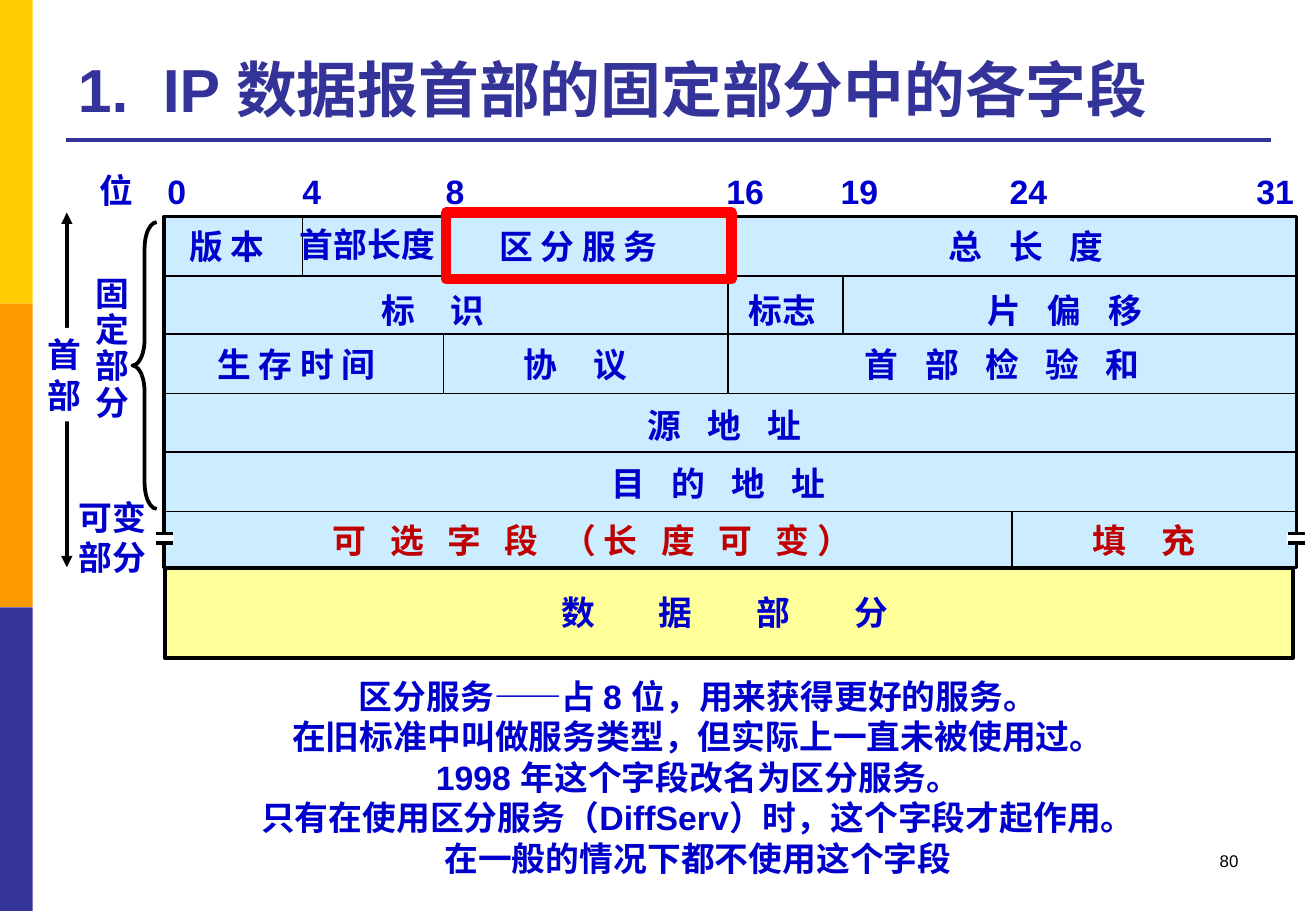
from lxml.etree import SubElement
from pptx import Presentation
from pptx.dml.color import RGBColor
from pptx.enum.shapes import MSO_CONNECTOR, MSO_SHAPE
from pptx.enum.text import MSO_ANCHOR, PP_ALIGN
from pptx.oxml.ns import qn
from pptx.util import Pt

PX = 9144
BLUE, RED, NAVY, BLACK, WHITE = "0000CC", "C00000", "333399", "000000", "FFFFFF"
rgb = RGBColor.from_string

deck = Presentation()
deck.slide_width, deck.slide_height = 1083 * PX, 750 * PX
slide = deck.slides.add_slide(deck.slide_layouts[5])
shapes = slide.shapes


def box(kind, place, fill=None, line=None, width=0):
    shape = shapes.add_shape(kind, *[v * PX for v in place])
    shape.shadow.inherit = False
    if fill:
        shape.fill.solid()
        shape.fill.fore_color.rgb = rgb(fill)
    else:
        shape.fill.background()
    if line:
        shape.line.color.rgb = rgb(line)
        shape.line.width = Pt(width)
    else:
        shape.line.fill.background()
    return shape


def write(frame, text, color=BLUE, size=20, bold=True, align=PP_ALIGN.LEFT, wrap=False, gap=0):
    frame.word_wrap = wrap
    frame.text = text
    for para in frame.paragraphs:
        para.alignment = align
        para.font.size = Pt(size)
        para.font.name = "Arial"
        para.font.bold = bold
        para.font.color.rgb = rgb(color)
        if gap:
            para._p.pPr.find(qn("a:defRPr")).set("spc", str(gap))


title = shapes.title
title.left, title.top, title.width, title.height = [v * PX for v in (54, 21, 991, 87)]
write(title.text_frame, "1.\tIP 数据报首部的固定部分中的各字段", NAVY, 36, wrap=True)
title.text_frame.vertical_anchor = MSO_ANCHOR.BOTTOM
props = title.text_frame.paragraphs[0]._p.pPr
props.set("marL", str(70 * PX))
props.set("indent", str(-70 * PX))

for i, color in enumerate(["FFCC00", "FF9900", NAVY]):
    box(MSO_SHAPE.RECTANGLE, (0, 250 * i, 27, 250), color)

box(MSO_SHAPE.RECTANGLE, (135, 178, 932, 289), "CCECFF", BLACK, 2)
box(MSO_SHAPE.RECTANGLE, (136, 468, 928, 74), "FFFF99", BLACK, 2.25)

rows = [round(178 + 48.6 * i) for i in range(6)] + [467]
lines = [(54, 115, 1046, 115, NAVY, 2.25), (55, 175, 55, 467, BLACK, 2.25)]
lines += [(134, y, 1068, y, BLACK, 1) for y in rows[1:6]]
for x, top, end in [(249, 0, 1), (365, 0, 1), (365, 2, 3), (599, 0, 3), (694, 1, 2), (833, 5, 6)]:
    lines.append((x, rows[top], x, rows[end], BLACK, 1))
for x in (128, 1060):
    box(MSO_SHAPE.RECTANGLE, (x - 1, 439, 16, 8), WHITE)
    lines += [(x, y, x + 14, y, BLACK, 2) for y in (439, 447)]

for *ends, color, width in lines:
    line = shapes.add_connector(MSO_CONNECTOR.STRAIGHT, *[v * PX for v in ends])
    line.line.color.rgb = rgb(color)
    line.line.width = Pt(width)
    SubElement(line._element.spPr, qn("a:effectLst"))
    if ends[0] == 55:
        for end in ("a:headEnd", "a:tailEnd"):
            SubElement(line.line._get_or_add_ln(), qn(end), type="triangle")

head = box(MSO_SHAPE.RECTANGLE, (29, 270, 48, 77), WHITE)
write(head.text_frame, "首\n部")

brace = box(MSO_SHAPE.LEFT_BRACE, (109, 183, 20, 236), None, BLACK, 2.25)
brace.adjustments[0] = 1.08

labels = [
    ("位", 72, 135, 48, BLUE, 0),
    ("0", 128, 136, 36, BLUE, 0),
    ("4", 239, 136, 36, BLUE, 0),
    ("8", 357, 136, 36, BLUE, 0),
    ("16", 588, 136, 51, BLUE, 0),
    ("19", 682, 136, 51, BLUE, 0),
    ("24", 821, 136, 51, BLUE, 0),
    ("31", 1024, 136, 51, BLUE, 0),
    ("版 本", 146, 181, 84, BLUE, 0),
    ("首部长度", 237, 179, 132, BLUE, 0),
    ("区 分 服 务", 401, 181, 156, BLUE, 0),
    ("总 长 度", 771, 181, 151, BLUE, 556),
    ("标 识", 304, 234, 107, BLUE, 834),
    ("标志", 606, 234, 76, BLUE, 0),
    ("片 偏 移", 803, 234, 151, BLUE, 556),
    ("生 存 时 间", 169, 278, 156, BLUE, 0),
    ("协 议", 421, 278, 107, BLUE, 834),
    ("首 部 检 验 和", 702, 278, 254, BLUE, 556),
    ("源 地 址", 523, 328, 151, BLUE, 556),
    ("目 的 地 址", 493, 376, 202, BLUE, 556),
    ("可 选 字 段 （长 度 可 变）", 264, 423, 456, RED, 470),
    ("填 充", 889, 423, 107, RED, 834),
    ("数 据 部 分", 452, 482, 345, BLUE, 1668),
]
for text, x, y, width, color, gap in labels:
    label = shapes.add_textbox(x * PX, y * PX, width * PX, 43 * PX)
    write(label.text_frame, text, color, gap=gap, wrap=width == 345)

fixed = shapes.add_textbox(69 * PX, 223 * PX, 48 * PX, 131 * PX)
write(fixed.text_frame, "固\n定\n部\n分")
for para in fixed.text_frame.paragraphs:
    para.line_spacing = 0.9
other = shapes.add_textbox(55 * PX, 404 * PX, 76 * PX, 77 * PX)
write(other.text_frame, "可变\n部分")

notes = [
    "区分服务——占 8 位，用来获得更好的服务。",
    "在旧标准中叫做服务类型，但实际上一直未被使用过。",
    "1998 年这个字段改名为区分服务。",
    "只有在使用区分服务（DiffServ）时，这个字段才起作用。",
    "在一般的情况下都不使用这个字段",
]
body = shapes.add_textbox(188 * PX, 551 * PX, 773 * PX, 178 * PX)
write(body.text_frame, "\n".join(notes), align=PP_ALIGN.CENTER, wrap=True)
box(MSO_SHAPE.RECTANGLE, (367, 175, 235, 55), None, "FF0000", 6)

page = shapes.add_textbox(776 * PX, 695 * PX, 253 * PX, 50 * PX)
write(page.text_frame, "80", BLACK, 10, False, PP_ALIGN.RIGHT, True)

deck.save("out.pptx")
